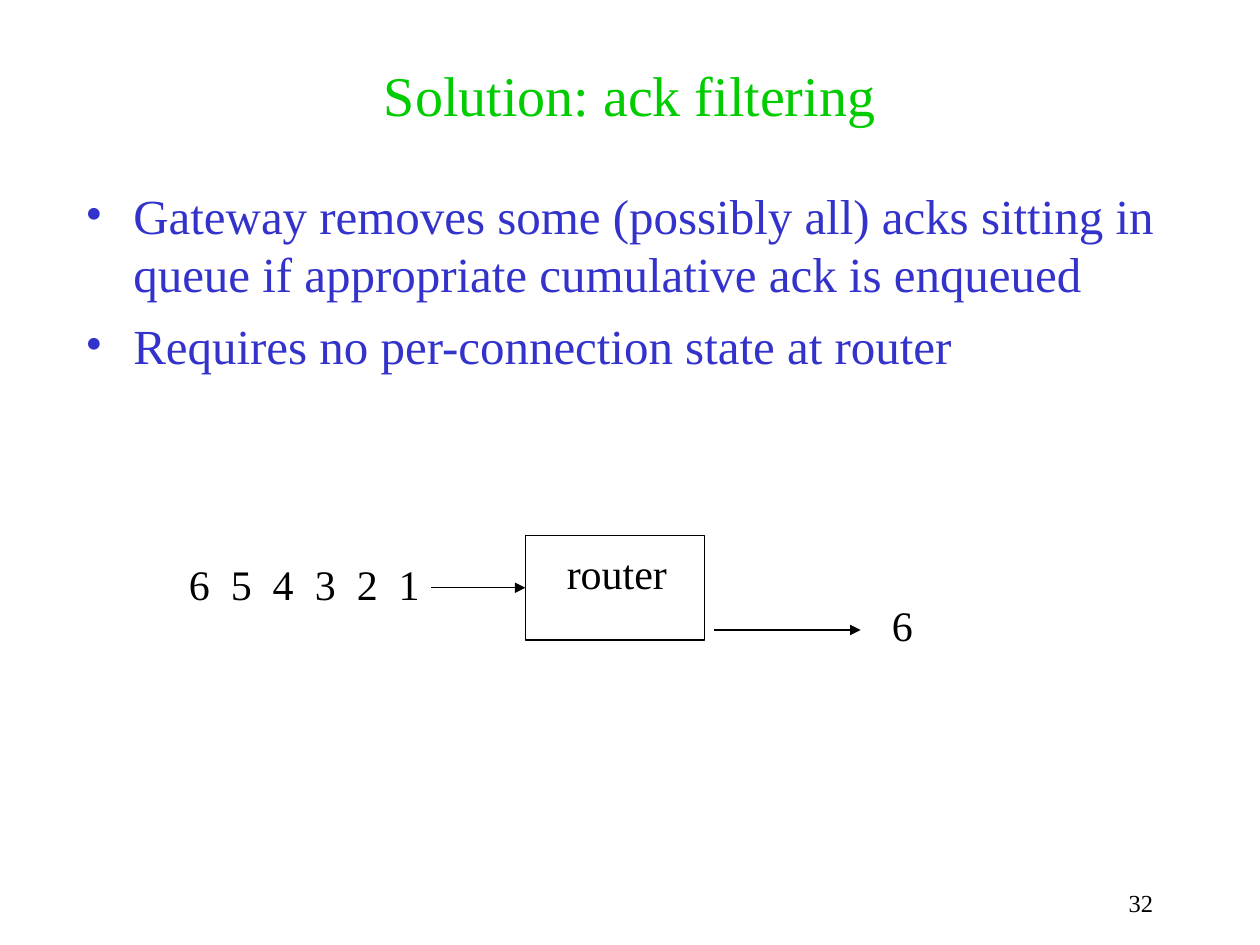
from lxml import etree
from pptx import Presentation
from pptx.dml.color import RGBColor
from pptx.enum.shapes import MSO_CONNECTOR as Connector, MSO_SHAPE as Shape
from pptx.enum.text import MSO_ANCHOR as Anchor, PP_ALIGN as Align
from pptx.oxml.ns import qn
from pptx.util import Inches, Pt

FONT = "Times New Roman"
BLACK, GREEN, BLUE = "000000", "00CC00", "3333CC"
DIGIT_PITCH = 1 / 3

presentation = Presentation()
presentation.slide_width, presentation.slide_height = Inches(10), Inches(7.5)
slide = presentation.slides.add_slide(presentation.slide_layouts[6])


def color(hex_code):
    return RGBColor.from_string(hex_code)


def add_text(text, left, top, width, height, size=24, hex_code=BLACK,
             align=Align.LEFT, anchor=Anchor.TOP, wrap=False, bullet=None,
             space=0, tabs=()):
    box = slide.shapes.add_textbox(Inches(left), Inches(top), Inches(width), Inches(height))
    frame = box.text_frame
    frame.word_wrap, frame.vertical_anchor = wrap, anchor
    frame.text = text
    for index, paragraph in enumerate(frame.paragraphs):
        paragraph.alignment = align
        if index:
            paragraph.space_before = Pt(space)
        properties = paragraph._p.get_or_add_pPr()
        if bullet:
            properties.set("marL", str(Inches(0.38)))
            properties.set("indent", str(Inches(-0.38)))
            etree.SubElement(properties, qn("a:buFont"), typeface=FONT)
            etree.SubElement(properties, qn("a:buChar"), char=bullet)
        if tabs:
            tab_list = etree.SubElement(properties, qn("a:tabLst"))
            for stop in tabs:
                etree.SubElement(tab_list, qn("a:tab"), pos=str(Inches(stop)), algn="l")
        for run in paragraph.runs:
            run.font.name, run.font.size = FONT, Pt(size)
            run.font.color.rgb = color(hex_code)


# Title and bullets
add_text("Solution: ack filtering", 0.75, 0.33, 8.5, 0.83, size=32,
         hex_code=GREEN, align=Align.CENTER, anchor=Anchor.MIDDLE, wrap=True)
add_text("Gateway removes some (possibly all) acks sitting in queue "
         "if appropriate cumulative ack is enqueued\n"
         "Requires no per-connection state at router",
         0.58, 1.42, 8.92, 5.42, size=28, hex_code=BLUE, wrap=True, bullet="•", space=7)

# Router
router = slide.shapes.add_shape(Shape.RECTANGLE, Inches(4.17), Inches(4.25),
                                Inches(1.42), Inches(0.83))
router.shadow.inherit = False
router.fill.background()
router.line.color.rgb = color(BLACK)
router.line.width = Pt(0.75)
add_text("router", 4.4, 4.3, 1.1, 0.5, wrap=True)

# Acks before and after filtering
add_text("\t".join("654321"), 1.4, 4.38, 2.1, 0.5, wrap=True,
         tabs=[DIGIT_PITCH * step for step in range(1, 6)])
add_text("6", 6.98, 4.71, 0.4, 0.5, wrap=True)

# Arrows into and out of the router
for start, end, y, target in [(3.42, 4.17, 4.67, router), (5.67, 6.83, 5, None)]:
    arrow = slide.shapes.add_connector(Connector.STRAIGHT, Inches(start), Inches(y),
                                       Inches(end), Inches(y))
    if target:
        arrow.end_connect(target, 1)
        arrow.begin_y = arrow.end_y
    arrow.line.color.rgb = color(BLACK)
    arrow.line.width = Pt(0.75)
    etree.SubElement(arrow.line._get_or_add_ln(), qn("a:tailEnd"), type="triangle")
    etree.SubElement(arrow._element.spPr, qn("a:effectLst"))

# Slide number
add_text("32", 7.17, 7, 2.08, 0.33, size=14, align=Align.RIGHT, wrap=True)

presentation.save("out.pptx")
